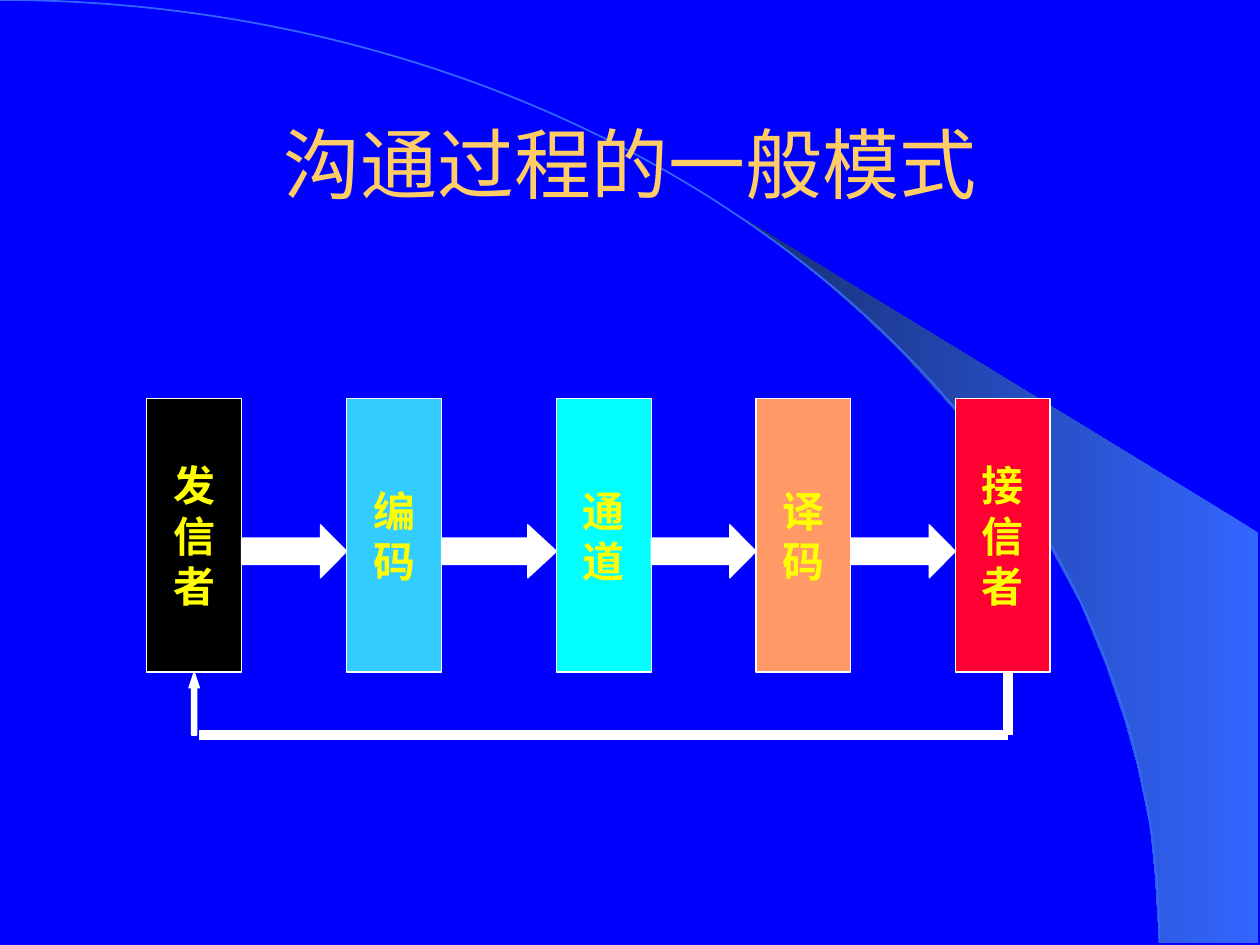
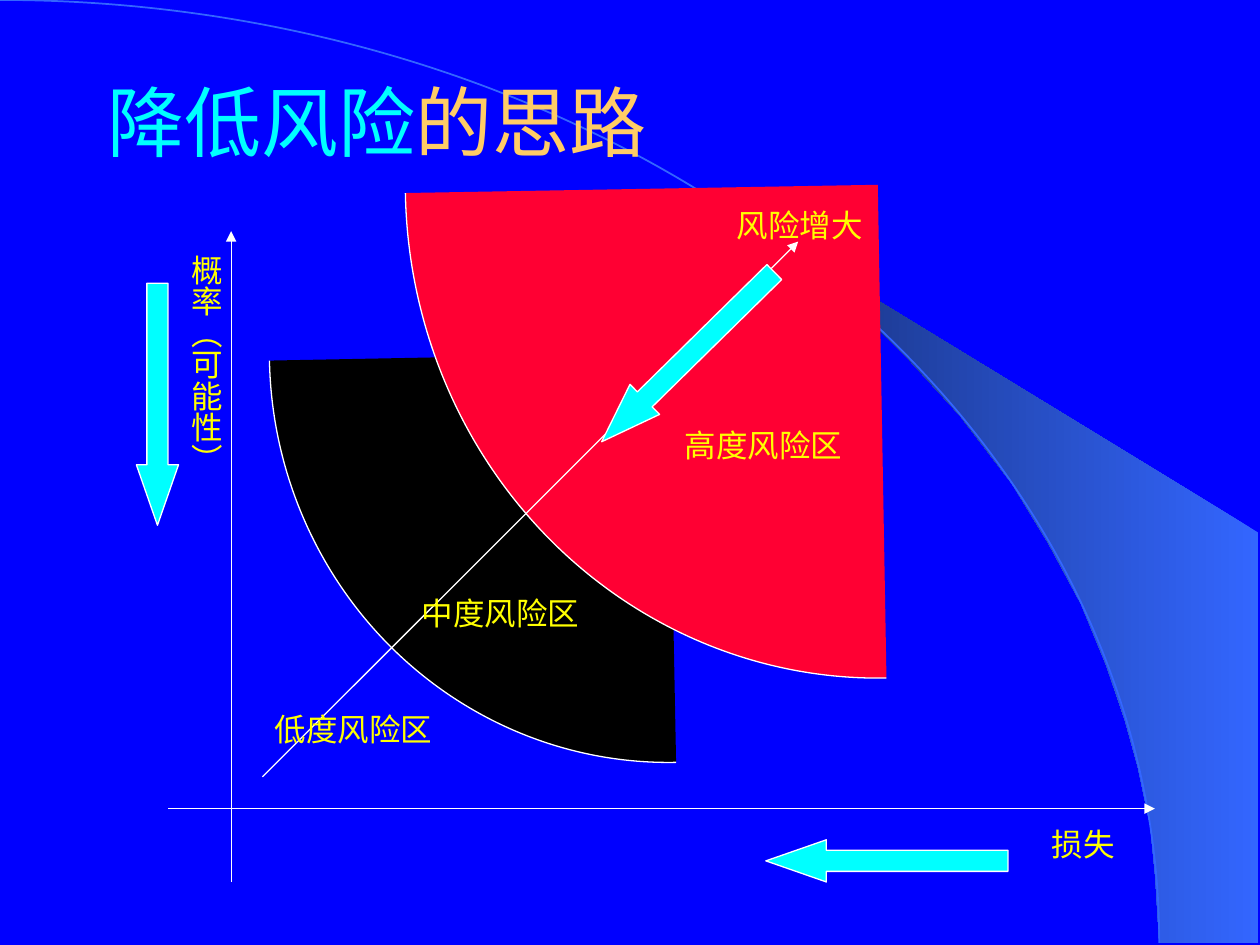
from collections.abc import Sequence
from dataclasses import dataclass
from typing import Any, NamedTuple

from lxml import etree
from pptx import Presentation
from pptx.dml.color import RGBColor
from pptx.enum.shapes import MSO_CONNECTOR, MSO_SHAPE
from pptx.enum.text import MSO_ANCHOR, MSO_AUTO_SIZE, PP_ALIGN
from pptx.oxml.ns import qn
from pptx.util import Cm, Pt

RECTANGLE, ARC = MSO_SHAPE.RECTANGLE, MSO_SHAPE.ARC
RIGHT, LEFT = MSO_SHAPE.RIGHT_ARROW, MSO_SHAPE.LEFT_ARROW
UP, DOWN = MSO_SHAPE.UP_ARROW, MSO_SHAPE.DOWN_ARROW
STRAIGHT = MSO_CONNECTOR.STRAIGHT
TOP, MIDDLE = MSO_ANCHOR.TOP, MSO_ANCHOR.MIDDLE
FIT_SHAPE = MSO_AUTO_SIZE.SHAPE_TO_FIT_TEXT
ALIGN_LEFT, CENTER = PP_ALIGN.LEFT, PP_ALIGN.CENTER


# Theme and descriptions of the repeated elements
@dataclass(frozen=True)
class Theme:
    background: str = "0000FF"
    swoosh_dark: str = "172F75"
    swoosh_light: str = "3366FF"
    title: str = "FFCC66"
    label: str = "FFFF00"
    line: str = "FFFFFF"
    black: str = "000000"
    sky: str = "33CCFF"
    cyan: str = "00FFFF"
    orange: str = "FF9966"
    red: str = "FF0033"
    heading_font: str = "Arial"
    body_font: str = "Times New Roman"
    title_size: int = 44
    stage_size: int = 24
    label_size: int = 18
    thin: float = 0.75
    horizon: float = 1
    thick: float = 6


THEME = Theme()


class Point(NamedTuple):
    x: float
    y: float


class Box(NamedTuple):
    left: float
    top: float
    width: float
    height: float


class Run(NamedTuple):
    text: str
    color: str


class Stage(NamedTuple):
    name: str
    left: float
    color: str


class Arc(NamedTuple):
    box: Box
    fill: str | None
    line: str
    width: float
    rotation: float = 0


class Label(NamedTuple):
    text: str
    box: Box
    vertical: bool = False


class BlockArrow(NamedTuple):
    preset: Any
    box: Box
    color: str
    rotation: float = 0


# Shared geometry in centimetres
TITLE_LEFT, TITLE_WIDTH, TITLE_HEIGHT = 1.91, 21.59, 3.18
WIDE_INSET, NARROW_INSET = 0.25, 0.13
HORIZON = Arc(Box(-23.37, 0, 46.74, 38.02), None, THEME.swoosh_light, THEME.horizon)
SWOOSH = [Point(*pair) for pair in (
    (23.37, 19), (25.37, 19.02), (25.37, 10.74), (14.96, 4.39), (15.85, 5.05),
    (16.59, 5.64), (17.4, 6.35), (18.19, 7.11), (19.35, 8.38), (20.4, 9.75),
    (21.13, 10.95), (21.79, 12.17), (22.3, 13.41), (22.68, 14.53),
    (22.94, 15.47), (23.19, 16.66), (23.29, 17.68))]

# Communication process
STAGES = [
    Stage("发信者", 2.96, THEME.black),
    Stage("编码", 6.99, THEME.sky),
    Stage("通道", 11.22, THEME.cyan),
    Stage("译码", 15.24, THEME.orange),
    Stage("接信者", 19.26, THEME.red),
]
STAGE_TOP, STAGE_WIDTH, STAGE_HEIGHT = 8.04, 1.91, 5.51
FLOW_TOP, FLOW_HEIGHT = 10.58, 1.07
STAGE_BOTTOM = STAGE_TOP + STAGE_HEIGHT
FEEDBACK_Y, FEEDBACK_START, FEEDBACK_END = 14.82, 20.32, 4.02
RETURN = BlockArrow(UP, Box(3.81, STAGE_BOTTOM, 0.21, 1.27), THEME.line)

# Risk map
AXES = [(Point(3.39, 16.3), Point(23.28, 16.3)), (Point(4.66, 17.78), Point(4.66, 4.66))]
GROWTH = (Point(5.29, 15.66), Point(16.09, 4.87))
ZONES = [
    Arc(Box(5.43, -1.14, 16.08, 16.51), THEME.black, THEME.line, THEME.thin, 178.9),
    Arc(Box(8.17, -6.22, 19.05, 19.89), THEME.red, THEME.line, THEME.thin, 179),
]
AXIS_LABELS = [
    Label("损失", Box(20.95, 16.51, 3.18, 1.02)),
    Label("概率（可能性）", Box(3.4, 4.88, 1.27, 5.92), vertical=True),
]
ZONE_LABELS = [
    Label("风险增大", Box(14.6, 4.02, 4.45, 1.02)),
    Label("高度风险区", Box(13.55, 8.46, 4.02, 1.02)),
    Label("中度风险区", Box(8.25, 11.85, 4.02, 1.02)),
    Label("低度风险区", Box(5.29, 14.18, 4.02, 1.02)),
]
REDUCTIONS = [
    BlockArrow(DOWN, Box(2.75, 5.71, 0.85, 4.88), THEME.cyan),
    BlockArrow(LEFT, Box(15.44, 16.93, 4.88, 0.85), THEME.cyan),
    BlockArrow(LEFT, Box(11.43, 6.77, 4.88, 0.85), THEME.cyan, rotation=315.5),
]


# Drawing helpers
def rgb(value: str) -> RGBColor:
    return RGBColor.from_string(value)


def apply(target: Any, values: dict[str, Any]) -> None:
    for name, value in values.items():
        setattr(target, name, value)


def place(box: Box) -> tuple[Cm, ...]:
    return tuple(Cm(length) for length in box)


def paint(shape: Any, fill: str | None, line: str, width: float = THEME.thin) -> None:
    shape.shadow.inherit = False
    if fill is None:
        shape.fill.background()
    else:
        shape.fill.solid()
        shape.fill.fore_color.rgb = rgb(fill)
    shape.line.color.rgb = rgb(line)
    shape.line.width = Pt(width)


def set_frame(frame: Any, wrap: bool, anchor: Any, vertical: bool = False) -> None:
    side, end = (NARROW_INSET, WIDE_INSET) if vertical else (WIDE_INSET, NARROW_INSET)
    apply(frame, {
        "word_wrap": wrap, "vertical_anchor": anchor,
        "margin_left": Cm(side), "margin_right": Cm(side),
        "margin_top": Cm(end), "margin_bottom": Cm(end),
    })


def write(paragraph: Any, runs: Sequence[Run], align: Any, font: dict[str, Any]) -> None:
    paragraph.alignment = align
    for text, color in runs:
        run = paragraph.add_run()
        run.text = text
        apply(run.font, font)
        run.font.color.rgb = rgb(color)


def draw_line(slide: Any, start: Point, end: Point, width: float, arrow: bool = False) -> None:
    line = slide.shapes.add_connector(STRAIGHT, Cm(start.x), Cm(start.y), Cm(end.x), Cm(end.y))
    line.line.color.rgb = rgb(THEME.line)
    line.line.width = Pt(width)
    properties = line.line._get_or_add_ln()
    if arrow:
        etree.SubElement(properties, qn("a:tailEnd"), type="triangle")
    etree.SubElement(properties.getparent(), qn("a:effectLst"))


def draw_arc(slide: Any, arc: Arc) -> None:
    shape = slide.shapes.add_shape(ARC, *place(arc.box))
    shape.rotation = arc.rotation
    paint(shape, arc.fill, arc.line, arc.width)


def draw_block_arrow(slide: Any, arrow: BlockArrow) -> None:
    shape = slide.shapes.add_shape(arrow.preset, *place(arrow.box))
    # The head takes a quarter of the arrow's length
    sides = arrow.box.width, arrow.box.height
    shape.adjustments[0] = 0.5
    shape.adjustments[1] = 0.25 * max(sides) / min(sides)
    shape.rotation = arrow.rotation
    paint(shape, arrow.color, THEME.line)


def draw_stage(slide: Any, stage: Stage) -> None:
    box = Box(stage.left, STAGE_TOP, STAGE_WIDTH, STAGE_HEIGHT)
    shape = slide.shapes.add_shape(RECTANGLE, *place(box))
    paint(shape, stage.color, THEME.line)
    frame = shape.text_frame
    set_frame(frame, False, MIDDLE)
    font = {"name": THEME.body_font, "size": Pt(THEME.stage_size), "bold": True}
    for index, character in enumerate(stage.name):
        paragraph = frame.add_paragraph() if index else frame.paragraphs[0]
        write(paragraph, [Run(character, THEME.label)], CENTER, font)


def draw_label(slide: Any, label: Label) -> None:
    frame = slide.shapes.add_textbox(*place(label.box)).text_frame
    set_frame(frame, True, TOP, label.vertical)
    frame.auto_size = FIT_SHAPE
    if label.vertical:
        frame._txBody.bodyPr.set("vert", "eaVert")
    font = {"name": THEME.body_font, "size": Pt(THEME.label_size)}
    write(frame.paragraphs[0], [Run(label.text, THEME.label)], ALIGN_LEFT, font)


# Shared background and title
def draw_swoosh(slide: Any) -> None:
    start, *rest = [(Cm(x), Cm(y)) for x, y in SWOOSH]
    builder = slide.shapes.build_freeform(*start)
    builder.add_line_segments(rest, close=True)
    swoosh = builder.convert_to_shape()
    swoosh.shadow.inherit = False
    swoosh.line.fill.background()
    swoosh.fill.gradient()
    swoosh.fill.gradient_angle = 180
    for stop, color, position in zip(swoosh.fill.gradient_stops,
                                     (THEME.swoosh_light, THEME.swoosh_dark), (0, 1)):
        stop.color.rgb = rgb(color)
        stop.position = position


def start_slide(deck: Any, title: Sequence[Run], top: float, align: Any) -> Any:
    slide = deck.slides.add_slide(deck.slide_layouts[6])
    slide.background.fill.solid()
    slide.background.fill.fore_color.rgb = rgb(THEME.background)
    draw_swoosh(slide)
    draw_arc(slide, HORIZON)

    box = Box(TITLE_LEFT, top, TITLE_WIDTH, TITLE_HEIGHT)
    frame = slide.shapes.add_textbox(*place(box)).text_frame
    set_frame(frame, True, MIDDLE)
    font = {"name": THEME.heading_font, "size": Pt(THEME.title_size)}
    write(frame.paragraphs[0], title, align, font)
    return slide


def build_process(deck: Any) -> None:
    slide = start_slide(deck, [Run("沟通过程的一般模式", THEME.title)], 1.69, CENTER)
    for stage in STAGES:
        draw_stage(slide, stage)
    for stage, following in zip(STAGES, STAGES[1:]):
        left = stage.left + STAGE_WIDTH
        gap = Box(left, FLOW_TOP, following.left - left, FLOW_HEIGHT)
        draw_block_arrow(slide, BlockArrow(RIGHT, gap, THEME.line))
    # Feedback loop
    turn = Point(FEEDBACK_START, FEEDBACK_Y)
    draw_line(slide, Point(FEEDBACK_END, FEEDBACK_Y), turn, THEME.thick)
    draw_line(slide, Point(FEEDBACK_START, STAGE_BOTTOM), turn, THEME.thick)
    draw_block_arrow(slide, RETURN)


def build_risk_map(deck: Any) -> None:
    title = [Run("降低风险", THEME.cyan), Run("的思路", THEME.title)]
    slide = start_slide(deck, title, 0.85, ALIGN_LEFT)
    for start, end in AXES:
        draw_line(slide, start, end, THEME.thin, arrow=True)
    for label in AXIS_LABELS:
        draw_label(slide, label)
    for zone in ZONES:
        draw_arc(slide, zone)
    draw_line(slide, *GROWTH, THEME.thin, arrow=True)
    for label in ZONE_LABELS:
        draw_label(slide, label)
    for arrow in REDUCTIONS:
        draw_block_arrow(slide, arrow)


def main() -> None:
    deck = Presentation()
    deck.slide_width, deck.slide_height = Cm(25.4), Cm(19.05)
    build_process(deck)
    build_risk_map(deck)
    deck.save("out.pptx")


if __name__ == "__main__":
    main()
